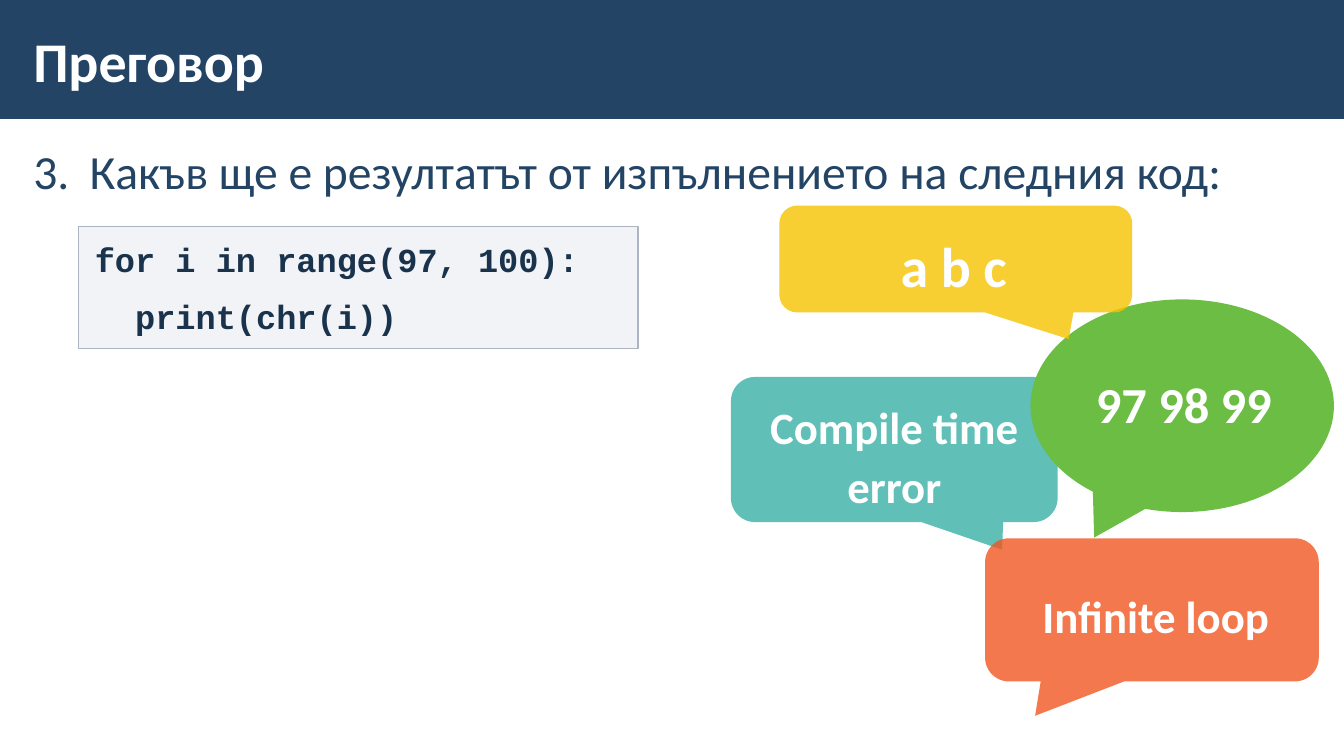
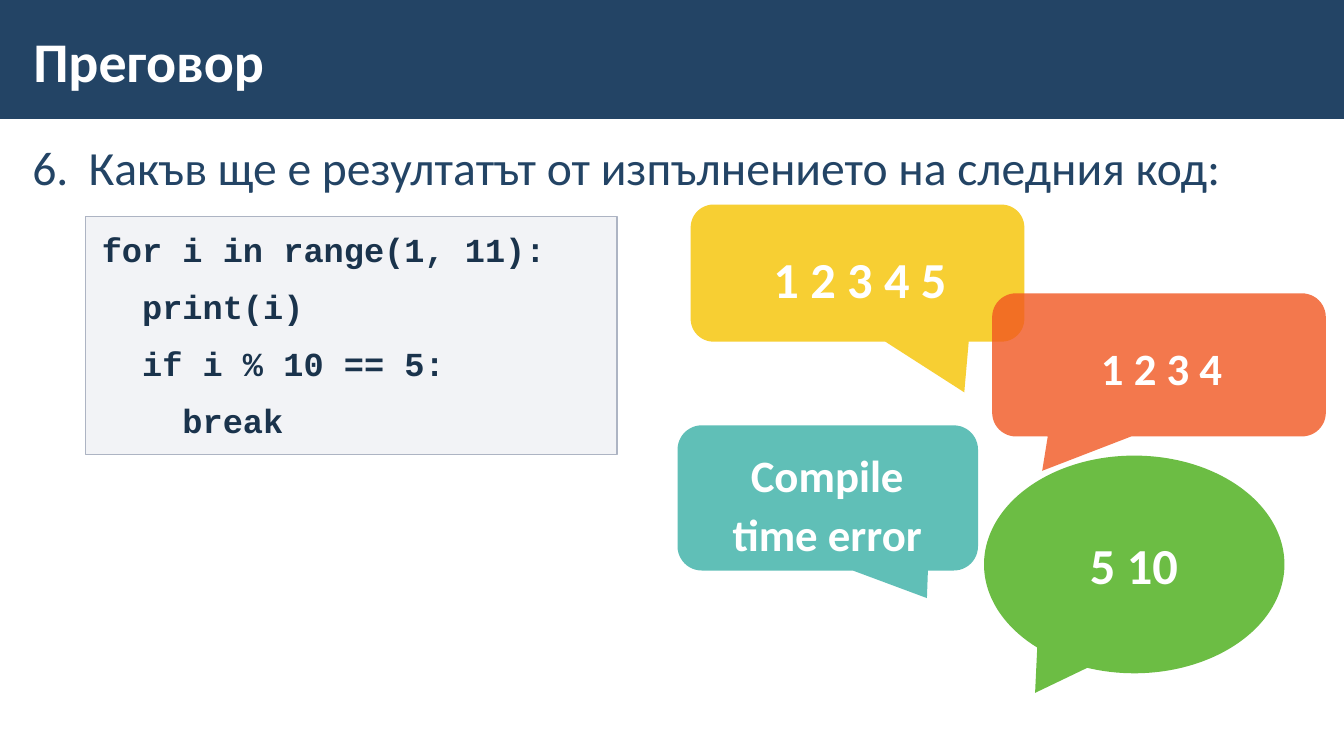
import pptx
import pptx.util
import pptx.dml.color
import pptx.enum.shapes
import pptx.enum.text
import pptx.oxml
import pptx.oxml.ns
from dataclasses import dataclass

Inches = pptx.util.Inches
Pt = pptx.util.Pt
SHAPE = pptx.enum.shapes.MSO_SHAPE
ALIGN = pptx.enum.text.PP_ALIGN
ANCHOR = pptx.enum.text.MSO_ANCHOR


@dataclass(frozen=True)
class Theme:
    navy: str = "234465"
    white: str = "FFFFFF"
    code_ink: str = "1A334C"
    code_grey: str = "ADB4C3"
    teal: str = "60BFB7"
    green: str = "6CBD44"
    orange: str = "F15721"
    yellow: str = "F5C300"
    font: str = "Calibri"
    code_font: str = "Courier New"
    title_size: int = 40
    question_size: int = 34
    code_size: int = 24
    wide_inset: tuple = (0.16, 0.12)
    slim_inset: tuple = (0.12, 0.04)


THEME = Theme()
TITLE = "Преговор"
QUESTION = "Какъв ще е резултатът от изпълнението на следния код:"

BUBBLES = {
    "teal": dict(preset=SHAPE.ROUNDED_RECTANGULAR_CALLOUT, color=THEME.teal, tail=(0.33, 0.69), opacity=100),
    "green": dict(preset=SHAPE.OVAL_CALLOUT, color=THEME.green, opacity=100),
    "orange": dict(preset=SHAPE.ROUNDED_RECTANGULAR_CALLOUT, color=THEME.orange, tail=(-0.35, 0.74), opacity=80),
    "yellow": dict(preset=SHAPE.ROUNDED_RECTANGULAR_CALLOUT, color=THEME.yellow, opacity=80),
}

CENTRED = dict(align=ALIGN.CENTER, line_spacing=1.1)
LEFT = dict(line_spacing=1.1)

SLIDES = [
    dict(
        number=3,
        question_at=(0.21, 1.34, 12.91, 5.67),
        code=["for i in range(97, 100):", "  print(chr(i))"],
        code_at=(0.78, 2.25, 5.55, 1.21),
        answers=[
            dict(kind="teal", text="Compile time error", at=(7.25, 3.74, 3.24, 1.44),
                 label_at=(7.41, 3.79, 2.92, 1.24), size=32, **CENTRED),
            dict(kind="green", text="97 98 99", at=(10.22, 2.97, 3.01, 2.11),
                 label_at=(10.71, 3.58, 2.5, 0.84), size=36, tail=(-0.29, 0.62)),
            dict(kind="orange", text="Infinite loop", at=(9.77, 5.34, 3.31, 1.42),
                 label_at=(10.18, 5.67, 2.9, 0.81), size=32, **LEFT),
            dict(kind="yellow", text="a b c", at=(7.73, 2.04, 3.5, 1.06),
                 label_at=(7.73, 2.11, 3.46, 0.73), size=40, tail=(0.32, 0.75), **CENTRED),
        ],
    ),
    dict(
        number=6,
        question_at=(0.2, 1.3, 12.91, 5.67),
        code=["for i in range(1, 11):", "  print(i)", "  if i % 10 == 5:", "    break"],
        code_at=(0.85, 2.15, 5.27, 2.36),
        answers=[
            dict(kind="teal", text="Compile time error", at=(6.72, 4.22, 2.98, 1.44),
                 label_at=(6.86, 4.27, 2.69, 1.24), size=32, **CENTRED),
            dict(kind="green", text="5 10", at=(9.76, 4.52, 2.98, 2.16),
                 label_at=(10.65, 5.18, 1.73, 0.86), size=36, tail=(-0.33, 0.59)),
            dict(kind="yellow", text="1 2 3 4 5", at=(6.85, 2.03, 3.31, 1.36),
                 label_at=(6.89, 2.28, 3.28, 0.87), size=36, tail=(0.32, 0.87), **CENTRED),
            dict(kind="orange", text="1 2 3 4", at=(9.84, 2.91, 3.31, 1.42),
                 label_at=(10.76, 3.21, 2.3, 0.81), size=32, **LEFT),
        ],
    ),
]


def rgb(color):
    return pptx.dml.color.RGBColor.from_string(color)


def place(at):
    return [Inches(length) for length in at]


def add_number(para, start, hang):
    properties = para._p.get_or_add_pPr()
    properties.set("marL", str(Inches(hang)))
    properties.set("indent", str(-Inches(hang)))
    properties.append(pptx.oxml.parse_xml(
        f'<a:buAutoNum {pptx.oxml.ns.nsdecls("a")} type="arabicPeriod" startAt="{start}"/>'))


def write(box, text, *, size, color=THEME.white, font=THEME.font, bold=True, align=ALIGN.LEFT,
          anchor=ANCHOR.TOP, inset=THEME.wide_inset, line_spacing=1.0, gap=0, number=None):
    frame = box.text_frame
    frame.word_wrap = True
    frame.vertical_anchor = anchor
    frame.margin_left = frame.margin_right = Inches(inset[0])
    frame.margin_top = frame.margin_bottom = Inches(inset[1])
    for index, line in enumerate(text.split("\n")):
        para = frame.paragraphs[0] if index == 0 else frame.add_paragraph()
        para.alignment = align
        para.line_spacing = line_spacing
        para.space_before = para.space_after = Pt(gap)
        if number is not None:
            add_number(para, number, 0.56)
        span = para.add_run()
        span.text = line
        span.font.name = font
        span.font.size = Pt(size)
        span.font.bold = bold
        span.font.color.rgb = rgb(color)


def add_text(shapes, text, at, **style):
    write(shapes.add_textbox(*place(at)), text, **style)


def add_filled(shapes, preset, at, color, opacity=100, line=None):
    shape = shapes.add_shape(preset, *place(at))
    shape.shadow.inherit = False
    shape.fill.solid()
    shape.fill.fore_color.rgb = rgb(color)
    if opacity < 100:
        tint = shape._element.spPr.find(".//" + pptx.oxml.ns.qn("a:srgbClr"))
        tint.append(pptx.oxml.parse_xml(
            f'<a:alpha {pptx.oxml.ns.nsdecls("a")} val="{opacity * 1000}"/>'))
    if line:
        shape.line.color.rgb = rgb(line)
        shape.line.width = Pt(1)
    else:
        shape.line.fill.background()
    return shape


def add_answer(page, kind, text, at, label_at, tail=None, **style):
    look = BUBBLES[kind]
    group = page.shapes.add_group_shape()
    bubble = add_filled(group.shapes, look["preset"], at, look["color"], look["opacity"])
    bubble.adjustments[0], bubble.adjustments[1] = tail or look["tail"]
    add_text(group.shapes, text, label_at, **style)


def add_page(deck, number, question_at, code, code_at, answers):
    page = deck.slides.add_slide(deck.slide_layouts[6])
    add_filled(page.shapes, SHAPE.RECTANGLE, (0, -0.02, 13.33, 1.2), THEME.navy)
    add_text(page.shapes, TITLE, (0.21, 0.11, 10.39, 0.97), size=THEME.title_size,
             anchor=ANCHOR.MIDDLE, inset=THEME.slim_inset)
    add_text(page.shapes, QUESTION, question_at, size=THEME.question_size, color=THEME.navy,
             bold=False, inset=THEME.slim_inset, line_spacing=1.05, gap=6, number=number)
    listing = add_filled(page.shapes, SHAPE.RECTANGLE, code_at, THEME.code_grey, 15, THEME.code_grey)
    write(listing, "\n".join(code), size=THEME.code_size, color=THEME.code_ink,
          font=THEME.code_font, gap=6)
    for answer in answers:
        add_answer(page, **answer)


def main():
    deck = pptx.Presentation()
    deck.slide_width, deck.slide_height = Inches(13.33), Inches(7.5)
    for content in SLIDES:
        add_page(deck, **content)
    deck.save("out.pptx")


if __name__ == "__main__":
    main()
